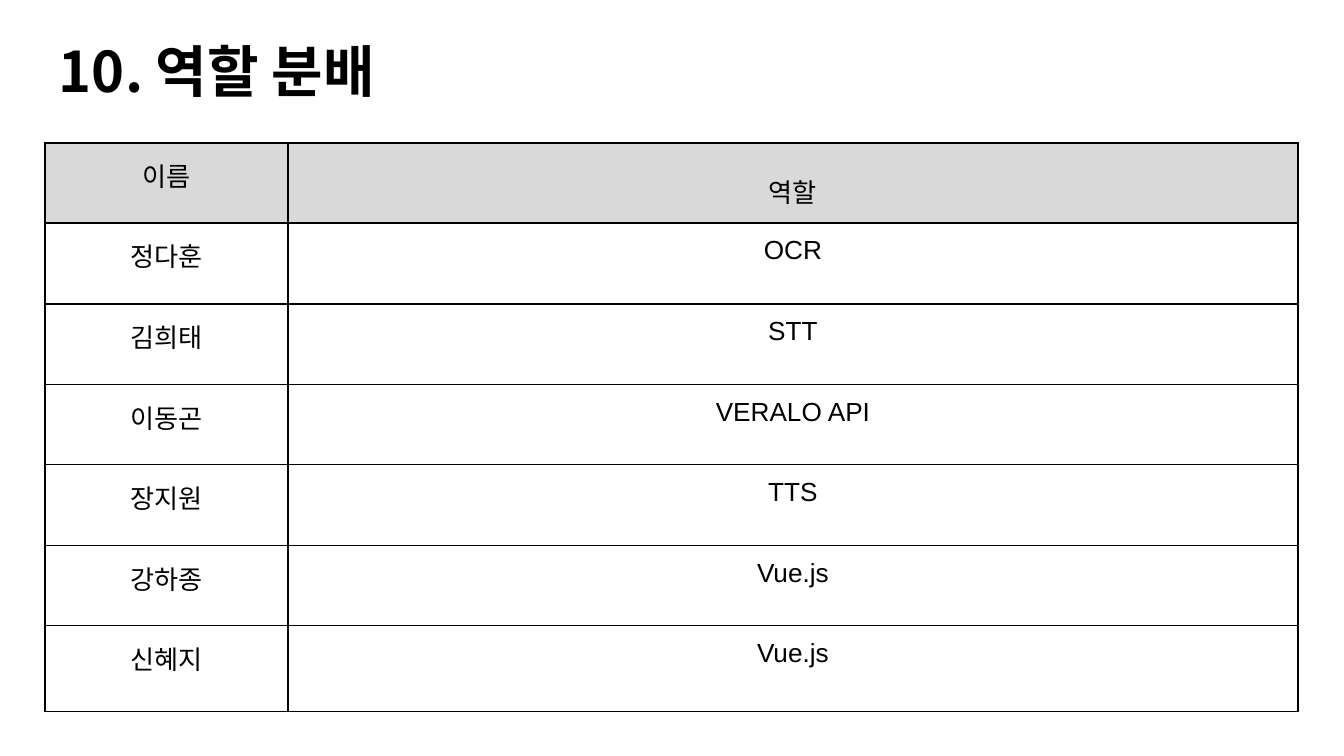
from lxml.etree import SubElement
from pptx import Presentation
from pptx.dml.color import RGBColor
from pptx.enum.text import MSO_ANCHOR, PP_ALIGN
from pptx.oxml.ns import qn
from pptx.util import Emu, Pt

SLIDE_W, SLIDE_H = 1344, 756
SCALE = 9144000 / SLIDE_W  # EMU per px

BLACK = RGBColor(0x00, 0x00, 0x00)
GRAY = RGBColor(0xD9, 0xD9, 0xD9)
WHITE = RGBColor(0xFF, 0xFF, 0xFF)
KOREAN = "Noto Sans CJK KR"

INSET = 13
COL_WIDTHS = [243, 1010]
ROW_HEIGHTS = [80, 81, 81, 80, 81, 80, 86]
ROLES = [
    ("이름", "역할"),
    ("정다훈", "OCR"),
    ("김희태", "STT"),
    ("이동곤", "VERALO API"),
    ("장지원", "TTS"),
    ("강하종", "Vue.js"),
    ("신혜지", "Vue.js"),
]


def px(n):
    return Emu(round(n * SCALE))


def write(tf, text, size=14, font="Arial", bold=False,
          align=PP_ALIGN.LEFT, spacing=None):
    p = tf.paragraphs[0]
    p.alignment = align
    p.line_spacing = spacing
    r = p.add_run()
    r.text = text
    r.font.size = Pt(size)
    r.font.name = font
    r.font.bold = bold
    r.font.color.rgb = BLACK
    SubElement(r.font._element, qn("a:ea"), typeface=KOREAN)


def set_margins(box, top=INSET, bottom=INSET):
    box.margin_left = box.margin_right = px(INSET)
    box.margin_top, box.margin_bottom = px(top), px(bottom)


def add_borders(cell):
    tc_pr = cell._tc.get_or_add_tcPr()
    for side in ("lnL", "lnR", "lnT", "lnB"):
        ln = SubElement(tc_pr, qn(f"a:{side}"), w=str(Pt(0.75)))
        fill = SubElement(ln, qn("a:solidFill"))
        SubElement(fill, qn("a:srgbClr"), val=str(BLACK))


def add_title(s, x, y, w, h):
    tf = s.shapes.add_textbox(px(x), px(y), px(w), px(h)).text_frame
    tf.word_wrap = True
    tf.vertical_anchor = MSO_ANCHOR.TOP
    set_margins(tf)
    write(tf, "10. 역할 분배", size=30, font=KOREAN, bold=True, spacing=0.9)


def add_role_table(s, x, y, w, h):
    frame = s.shapes.add_table(len(ROLES), len(COL_WIDTHS),
                               px(x), px(y), px(w), px(h))
    table = frame.table
    table.first_row = table.horz_banding = False
    for col, width in zip(table.columns, COL_WIDTHS):
        col.width = px(width)
    for row, height in zip(table.rows, ROW_HEIGHTS):
        row.height = px(height)

    for i, texts in enumerate(ROLES):
        for j, text in enumerate(texts):
            cell = table.cell(i, j)
            add_borders(cell)
            cell.fill.solid()
            cell.fill.fore_color.rgb = GRAY if i == 0 else WHITE
            set_margins(cell)
            write(cell.text_frame, text, align=PP_ALIGN.CENTER)

    # The role heading sits lower than the name heading
    set_margins(table.cell(0, 1), top=29, bottom=6)


def main():
    prs = Presentation()
    prs.slide_width, prs.slide_height = px(SLIDE_W), px(SLIDE_H)
    s = prs.slides.add_slide(prs.slide_layouts[6])
    add_title(s, 46, 31, 1253, 85)
    add_role_table(s, 45, 143, sum(COL_WIDTHS), sum(ROW_HEIGHTS))
    prs.save("out.pptx")


if __name__ == "__main__":
    main()
